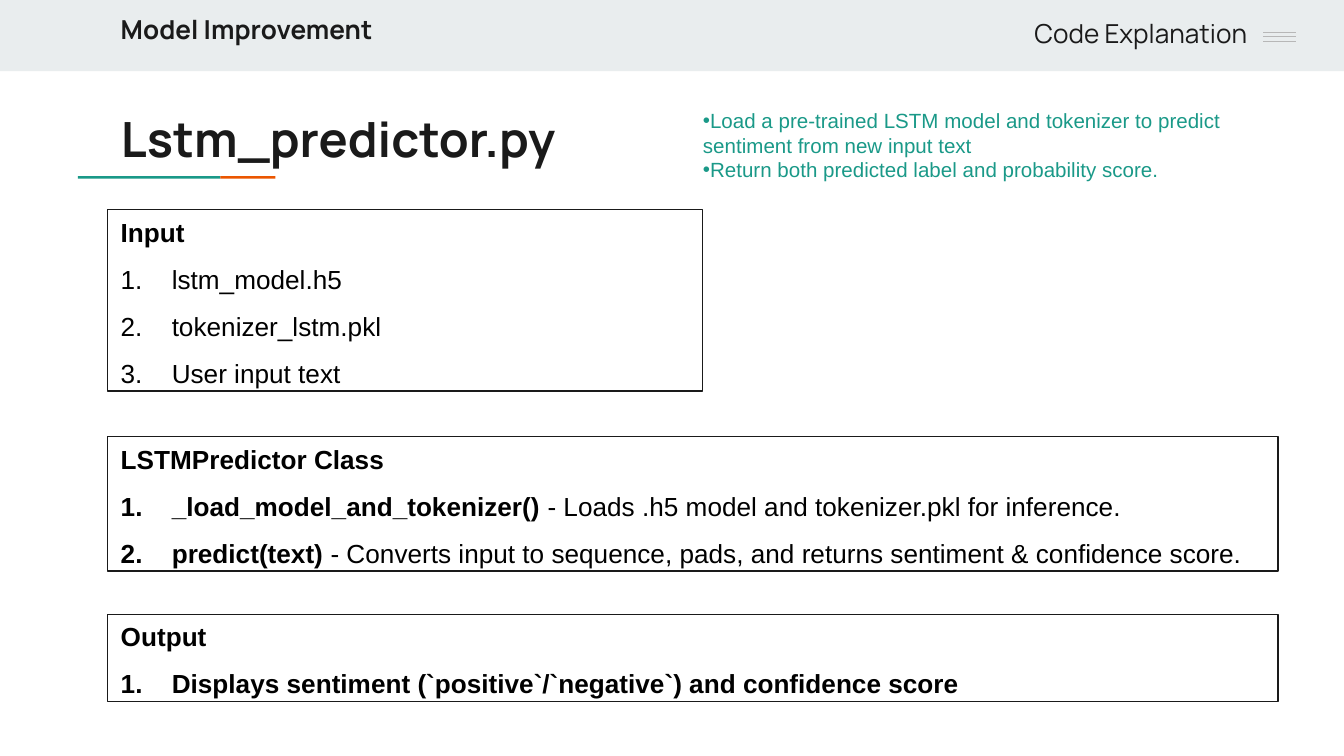
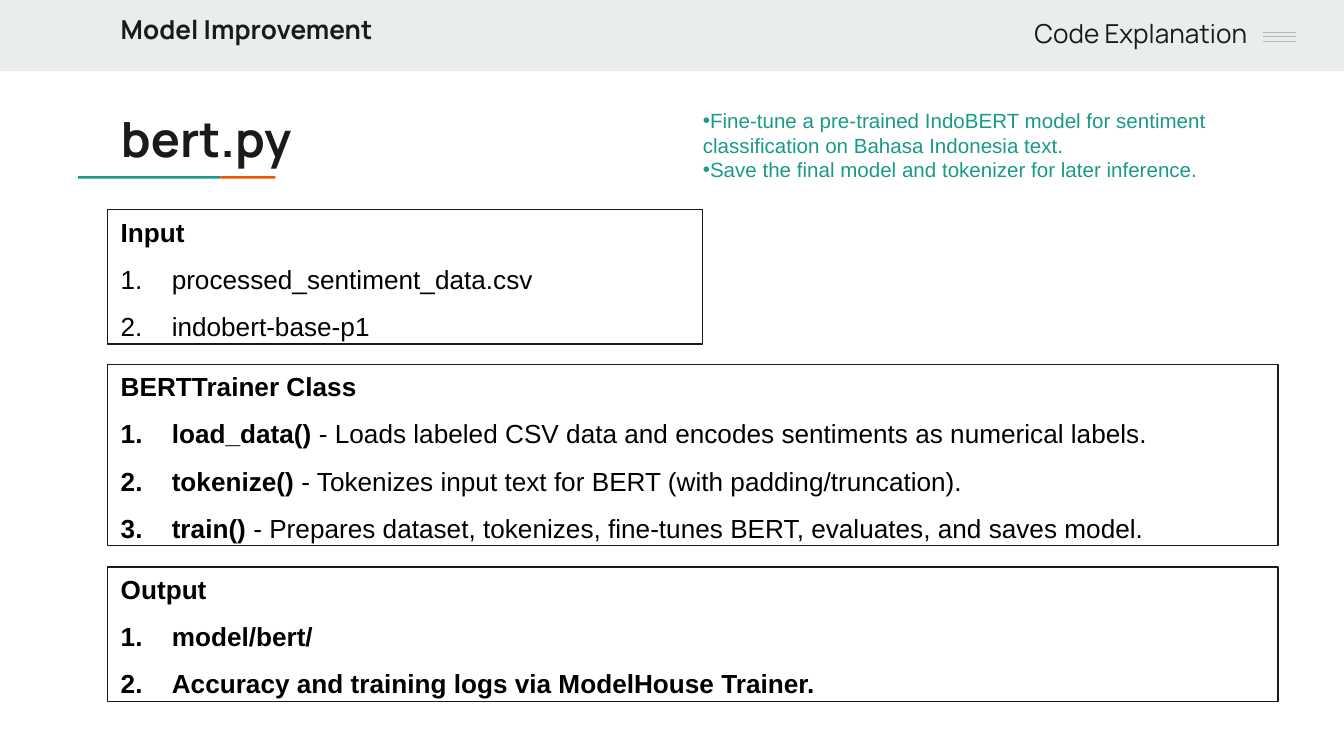
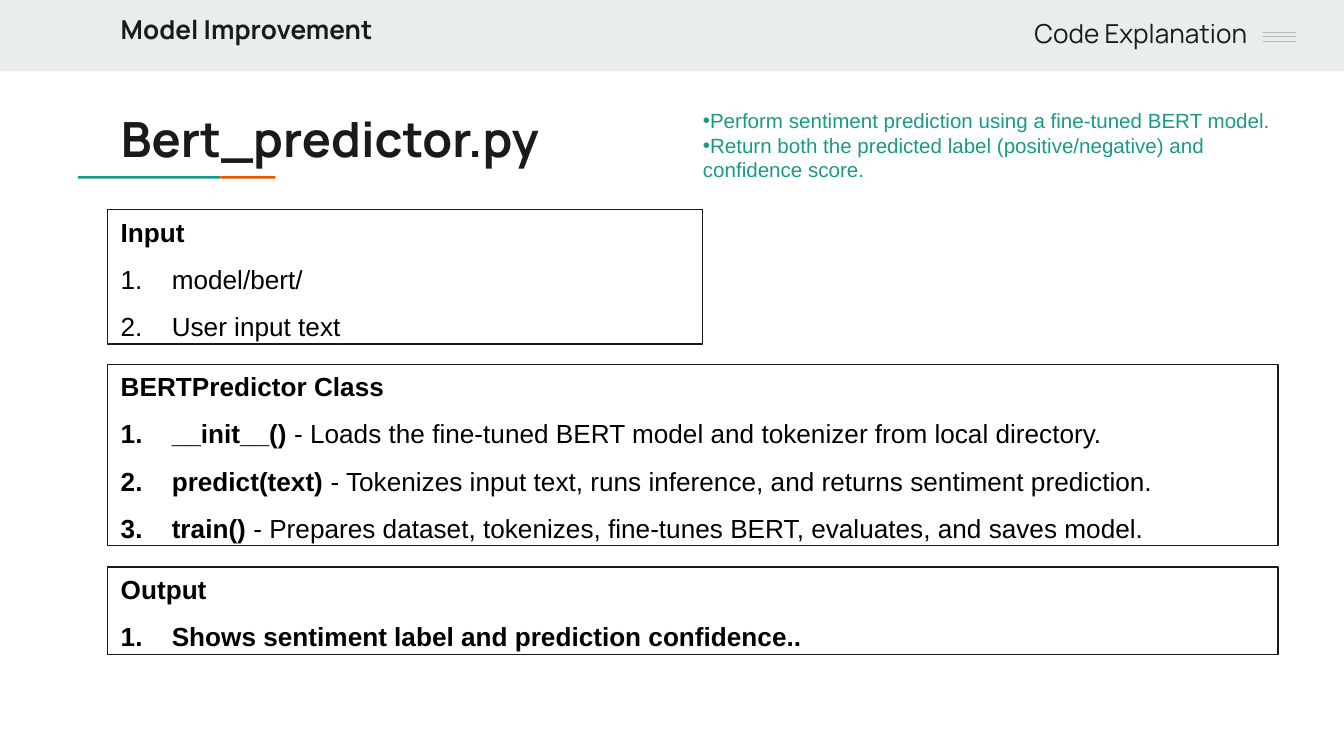
from lxml.etree import SubElement
from pptx import Presentation
from pptx.dml.color import RGBColor
from pptx.enum.shapes import MSO_CONNECTOR, MSO_SHAPE
from pptx.enum.text import MSO_ANCHOR, MSO_AUTO_SIZE, PP_ALIGN
from pptx.oxml.ns import qn
from pptx.util import Inches, Pt

INK = RGBColor(0x1A, 0x1A, 0x1A)
BLACK = RGBColor(0, 0, 0)
BAND = RGBColor(0xE9, 0xED, 0xEE)
GRAY = RGBColor(0xB7, 0xB7, 0xB7)
TEAL = RGBColor(0x1A, 0x99, 0x88)
ORANGE = RGBColor(0xEB, 0x56, 0x00)

TITLE = dict(name="Manrope", size=Pt(26), bold=True, color=INK)
SECTION = dict(TITLE, size=Pt(14))
TOPIC = dict(SECTION, bold=False)
SUMMARY = dict(name="Arial", size=Pt(11), bold=False, color=TEAL)
STRONG = dict(name="Arial", size=Pt(14), bold=True, color=BLACK)
PLAIN = dict(STRONG, bold=False)

LEFT, NARROW, WIDE = 0.8, 4.43, 8.71
HEADING_H, ITEM_H = 0.3, 0.35
SPACED_TOPS = (1.56, 3.25, 4.57)
TIGHT_TOPS = (1.56, 2.71, 4.22)

TRAIN = ("train() ", "- Prepares dataset, tokenizes, fine-tunes BERT, evaluates, and saves model.")

SLIDES = [
    dict(
        title="Lstm_predictor.py",
        tops=SPACED_TOPS,
        summary=["Load a pre-trained LSTM model and tokenizer to predict sentiment from new input text",
                 "Return both predicted label and probability score."],
        boxes=[
            ("Input", NARROW, [("", "lstm_model.h5"), ("", "tokenizer_lstm.pkl"), ("", "User input text")]),
            ("LSTMPredictor Class", WIDE, [
                ("_load_model_and_tokenizer() ", "- Loads .h5 model and tokenizer.pkl for inference."),
                ("predict(text) ",
                 "- Converts input to sequence, pads, and returns sentiment & confidence score.")]),
            ("Output", WIDE, [("Displays sentiment (`positive`/`negative`) and confidence score", "")]),
        ],
    ),
    dict(
        title="bert.py",
        tops=TIGHT_TOPS,
        summary=["Fine-tune a pre-trained IndoBERT model for sentiment classification on Bahasa Indonesia text.",
                 "Save the final model and tokenizer for later inference."],
        boxes=[
            ("Input", NARROW, [("", "processed_sentiment_data.csv"), ("", "indobert-base-p1")]),
            ("BERTTrainer Class", WIDE, [
                ("load_data() ", "- Loads labeled CSV data and encodes sentiments as numerical labels."),
                ("tokenize() ", "- Tokenizes input text for BERT (with padding/truncation)."),
                TRAIN]),
            ("Output", WIDE, [("model/bert/", ""),
                              ("Accuracy and training logs via ModelHouse Trainer.", "")]),
        ],
    ),
    dict(
        title="Bert_predictor.py",
        tops=TIGHT_TOPS,
        summary=["Perform sentiment prediction using a fine-tuned BERT model.",
                 "Return both the predicted label (positive/negative) and confidence score."],
        boxes=[
            ("Input", NARROW, [("", "model/bert/"), ("", "User input text")]),
            ("BERTPredictor Class", WIDE, [
                ("__init__() ", "- Loads the fine-tuned BERT model and tokenizer from local directory."),
                ("predict(text) ", "- Tokenizes input text, runs inference, and returns sentiment prediction."),
                TRAIN]),
            ("Output", WIDE, [("Shows sentiment label and prediction confidence..", "")]),
        ],
    ),
]


class Deck:
    """Builds code explanation slides in one shared style."""

    def __init__(self):
        self.prs = Presentation()
        self.prs.slide_width = Inches(10)
        self.prs.slide_height = Inches(10) * 9 // 16
        self.s = None

    def place(self, sp, *box):
        for key, value in zip(("left", "top", "width", "height"), box):
            setattr(sp, key, Inches(value))

    def frame(self, sp, inset_y=0.05, anchor=MSO_ANCHOR.TOP, auto_size=MSO_AUTO_SIZE.NONE):
        tf = sp.text_frame
        values = dict(word_wrap=True, vertical_anchor=anchor, auto_size=auto_size,
                      margin_left=Inches(0.1), margin_right=Inches(0.1),
                      margin_top=Inches(inset_y), margin_bottom=Inches(inset_y))
        for key, value in values.items():
            setattr(tf, key, value)
        return tf

    def paragraph(self, tf, index, align=PP_ALIGN.LEFT):
        p = tf.add_paragraph() if index else tf.paragraphs[0]
        p.alignment, p.space_before = align, Pt(0)
        return p

    def run(self, p, text, style):
        r = p.add_run()
        r.text = text
        for key, value in style.items():
            if key == "color":
                r.font.color.rgb = value
            else:
                setattr(r.font, key, value)

    def bullet(self, p, tag, indent=0, color=None, **attributes):
        pPr = p._p.get_or_add_pPr()
        pPr.set("marL", str(Inches(indent)))
        pPr.set("indent", str(-Inches(indent)))
        if color is not None:
            SubElement(SubElement(pPr, qn("a:buClr")), qn("a:srgbClr")).set("val", str(color))
        SubElement(pPr, qn("a:buFont")).set("typeface", "Arial")
        SubElement(pPr, qn(tag), attributes)

    def rect(self, box, fill=None, line=None):
        sp = self.s.shapes.add_shape(MSO_SHAPE.RECTANGLE, *map(Inches, box))
        sp.shadow.inherit = False
        if fill is None:
            sp.fill.background()
        else:
            sp.fill.solid()
            sp.fill.fore_color.rgb = fill
        if line is None:
            sp.line.fill.background()
        else:
            sp.line.color.rgb, sp.line.width = line, Pt(0.75)
        return sp

    def rule(self, x1, x2, y):
        ln = self.s.shapes.add_connector(MSO_CONNECTOR.STRAIGHT, *map(Inches, (x1, y, x2, y)))
        ln.line.color.rgb, ln.line.width = GRAY, Pt(0.75)
        SubElement(ln._element.spPr, qn("a:effectLst"))

    def label(self, text, box, style, align=PP_ALIGN.LEFT):
        sp = self.s.shapes.add_textbox(*map(Inches, box))
        self.run(self.paragraph(self.frame(sp, 0.1), 0, align), text, style)

    def header(self):
        self.rect((0, 0, 10, 0.53), BAND)
        self.rect((0.58, 1.31, 1.06, 0.02), TEAL)
        self.rect((1.64, 1.31, 0.41, 0.02), ORANGE)
        for y in (0.24, 0.27, 0.31):
            self.rule(9.4, 9.64, y)
        self.label("Model Improvement", (LEFT, 0, 8.41, 0.59), SECTION)
        self.label("Code Explanation", (5.14, 0.03, 4.24, 0.43), TOPIC, PP_ALIGN.RIGHT)

    def title(self, text):
        sp = self.s.shapes.title
        self.place(sp, LEFT, 0.71, 8.41, 0.59)
        self.run(self.paragraph(self.frame(sp, 0.1), 0), text, TITLE)

    def summary(self, points):
        sp = self.s.placeholders[1]
        self.place(sp, 5.13, 0.75, 4.57, 0.66)
        tf = self.frame(sp, anchor=MSO_ANCHOR.MIDDLE, auto_size=MSO_AUTO_SIZE.SHAPE_TO_FIT_TEXT)
        for i, point in enumerate(points):
            p = self.paragraph(tf, i)
            self.bullet(p, "a:buChar", char="•")
            self.run(p, point, SUMMARY)

    def step_box(self, heading, items, box):
        sp = self.rect(box, line=INK)
        tf = self.frame(sp, auto_size=MSO_AUTO_SIZE.SHAPE_TO_FIT_TEXT)
        self.run(self.paragraph(tf, 0), heading, STRONG)
        for i, parts in enumerate(items, 1):
            p = self.paragraph(tf, i)
            p.line_spacing = 1.5
            self.bullet(p, "a:buAutoNum", 0.38, BLACK, type="arabicPeriod")
            for text, style in zip(parts, (STRONG, PLAIN)):
                if text:
                    self.run(p, text, style)

    def add_slide(self, title, tops, summary, boxes):
        self.s = self.prs.slides.add_slide(self.prs.slide_layouts[1])
        self.header()
        self.title(title)
        self.summary(summary)
        for top, (heading, width, items) in zip(tops, boxes):
            self.step_box(heading, items, (LEFT, top, width, HEADING_H + ITEM_H * len(items)))


def main():
    deck = Deck()
    for content in SLIDES:
        deck.add_slide(**content)
    deck.prs.save("out.pptx")


if __name__ == "__main__":
    main()
